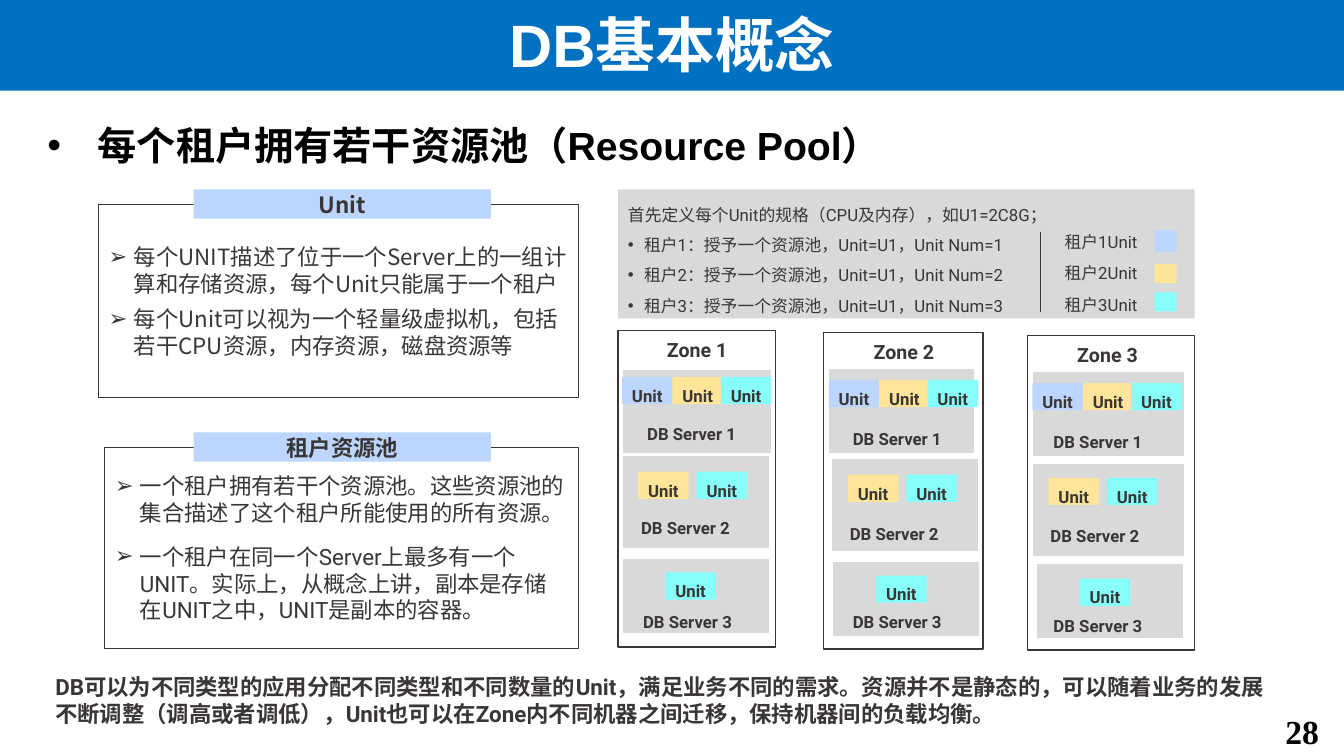
from lxml import etree
from pptx import Presentation
from pptx.dml.color import RGBColor
from pptx.enum.shapes import MSO_CONNECTOR, MSO_SHAPE
from pptx.enum.text import MSO_ANCHOR, MSO_AUTO_SIZE, PP_ALIGN
from pptx.oxml.ns import qn
from pptx.util import Inches, Pt

LEFT, CENTER, RIGHT = PP_ALIGN.LEFT, PP_ALIGN.CENTER, PP_ALIGN.RIGHT
TOP, MIDDLE = MSO_ANCHOR.TOP, MSO_ANCHOR.MIDDLE
GROW, FIXED = MSO_AUTO_SIZE.SHAPE_TO_FIT_TEXT, MSO_AUTO_SIZE.NONE
RECTANGLE, STRAIGHT = MSO_SHAPE.RECTANGLE, MSO_CONNECTOR.STRAIGHT

BLUE = RGBColor(0x00, 0x70, 0xC0)
WHITE = RGBColor(0xFF, 0xFF, 0xFF)
BLACK = RGBColor(0x00, 0x00, 0x00)
INK = RGBColor(0x3A, 0x36, 0x36)
GRAY = RGBColor(0xD9, 0xD9, 0xD9)
TENANT_COLORS = (RGBColor(0xBC, 0xD6, 0xFF), RGBColor(0xFF, 0xE5, 0x99),
                 RGBColor(0x87, 0xFF, 0xFA))

# ---- content ----
TITLE = "DB基本概念"
HEADLINE = "每个租户拥有若干资源池（Resource Pool）"
PAGE_NUMBER = "28"
SUMMARY = ("DB可以为不同类型的应用分配不同类型和不同数量的Unit，满足业务不同的需求。"
           "资源并不是静态的，可以随着业务的发展不断调整（调高或者调低），"
           "Unit也可以在Zone内不同机器之间迁移，保持机器间的负载均衡。")
SPEC_INTRO = "首先定义每个Unit的规格（CPU及内存），如U1=2C8G；"
TENANT_GRANTS = [f"租户{n}：授予一个资源池，Unit=U1，Unit Num={n}" for n in (1, 2, 3)]

# heading, frame, font, space between points, points
CONCEPTS = [
    ("Unit", (0.98, 2.03, 4.76, 1.91), "Noto Sans CJK SC", 6,
     ["每个UNIT描述了位于一个Server上的一组计算和存储资源，每个Unit只能属于一个租户",
      "每个Unit可以视为一个轻量级虚拟机，包括若干CPU资源，内存资源，磁盘资源等"]),
    ("租户资源池", (1.04, 4.44, 4.7, 1.99), "Roboto", 12,
     ["一个租户拥有若干个资源池。这些资源池的集合描述了这个租户所能使用的所有资源。",
      "一个租户在同一个Server上最多有一个UNIT。实际上，从概念上讲，"
      "副本是存储在UNIT之中，UNIT是副本的容器。"]),
]

# zone frame, heading left, then per server: box and label corner
ZONES = [
    ((6.13, 3.28, 1.56, 3.14), 6.31,
     [((6.17, 3.66, 1.48, 0.84), (6.32, 4.06)),
      ((6.17, 4.52, 1.46, 0.92), (6.26, 5.0)),
      ((6.17, 5.54, 1.46, 0.75), (6.28, 5.93))]),
    ((8.17, 3.3, 1.58, 3.14), 8.36,
     [((8.22, 3.65, 1.45, 0.85), (8.36, 4.11)),
      ((8.25, 4.55, 1.46, 0.92), (8.33, 5.06)),
      ((8.26, 5.57, 1.46, 0.75), (8.36, 5.93))]),
    ((10.19, 3.33, 1.66, 3.12), 10.38,
     [((10.24, 3.68, 1.51, 0.85), (10.35, 4.14)),
      ((10.24, 4.6, 1.51, 0.92), (10.32, 5.08)),
      ((10.28, 5.59, 1.46, 0.75), (10.35, 5.97))]),
]
# per server: unit top in the first zone, then (tenant, offset from server left)
SERVER_UNITS = [
    (3.74, [(0, 0), (1, 0.5), (2, 0.98)]),
    (4.68, [(1, 0.16), (2, 0.74)]),
    (5.68, [(2, 0.43)]),
]
ZONE_DRIFT = 0.03
UNIT_SIZE = (0.5, 0.27)
# label top, swatch top, swatch height
LEGEND = [(2.3, 2.28, 0.22), (2.61, 2.62, 0.19), (2.92, 2.9, 0.19)]

BODY_TEXT = {"size": Pt(16), "name": "Roboto", "bold": False}
SMALL = {"size": Pt(12), "name": "Roboto", "bold": False}
SMALL_BOLD = SMALL | {"bold": True}


def write(shape, lines, font, color=INK, align=LEFT, anchor=MIDDLE, fit=GROW,
          inset=None, spacing=None, gap=0, bullet=None, indent=0, plain_lines=0):
    """Fill a shape with paragraphs; the first plain_lines carry no bullet."""
    frame = shape.text_frame
    settings = {"word_wrap": True, "auto_size": fit, "vertical_anchor": anchor}
    if inset is not None:
        settings |= {f"margin_{side}": Inches(inset)
                     for side in ("left", "right", "top", "bottom")}
    for name, value in settings.items():
        setattr(frame, name, value)
    for index, line in enumerate(lines):
        paragraph = frame.add_paragraph() if index else frame.paragraphs[0]
        if bullet and index >= plain_lines:
            properties = paragraph._p.get_or_add_pPr()
            properties.set("marL", str(Inches(indent)))
            properties.set("indent", str(-Inches(indent)))
            etree.SubElement(properties, qn("a:buFont")).set("typeface", "Arial")
            etree.SubElement(properties, qn("a:buChar")).set("char", bullet)
        paragraph.alignment = align
        paragraph.space_before = Pt(gap if index else 0)
        if spacing:
            paragraph.line_spacing = spacing
        run = paragraph.add_run()
        run.text = line
        for name, value in font.items():
            setattr(run.font, name, value)
        run.font.color.rgb = color


def place(shape, box):
    for name, value in zip(("left", "top", "width", "height"), box):
        setattr(shape, name, Inches(value))


def add_box(slide, box, fill=None, line=None, weight=1):
    shape = slide.shapes.add_shape(RECTANGLE, *map(Inches, box))
    shape.shadow.inherit = False
    if fill is None:
        shape.fill.background()
    else:
        shape.fill.solid()
        shape.fill.fore_color.rgb = fill
    if line is None:
        shape.line.fill.background()
    else:
        shape.line.color.rgb = line
        shape.line.width = Pt(weight)
    return shape


def add_label(slide, box, text, font, **options):
    write(slide.shapes.add_textbox(*map(Inches, box)), [text], font, **options)


def add_headings(slide):
    title, body = slide.shapes.title, slide.placeholders[1]
    place(title, (0, -0.03, 13.33, 0.93))
    title.fill.solid()
    title.fill.fore_color.rgb = BLUE
    write(title, [TITLE], {"size": Pt(42.7), "name": "Arial", "bold": True},
          color=WHITE, align=CENTER, fit=FIXED)
    place(body, (0.37, 1.15, 12.49, 5.55))
    write(body, [HEADLINE], {"size": Pt(28), "name": "Arial", "bold": True},
          color=BLACK, anchor=TOP, fit=FIXED, bullet="•", indent=0.5)


def add_concepts(slide):
    for heading, frame, font_name, gap, points in CONCEPTS:
        write(add_box(slide, frame, line=INK, weight=0.75), points,
              BODY_TEXT | {"name": font_name}, fit=FIXED, gap=gap,
              bullet="➢", indent=0.25)
        banner = add_box(slide, (1.92, frame[1] - 0.15, 2.95, 0.29), TENANT_COLORS[0])
        write(banner, [heading],
              BODY_TEXT | {"name": "Noto Sans CJK SC", "bold": True},
              align=CENTER, fit=FIXED, inset=0)


def add_unit_spec(slide):
    write(add_box(slide, (6.13, 1.88, 5.72, 1.28), GRAY), [SPEC_INTRO, *TENANT_GRANTS],
          SMALL, anchor=TOP, spacing=1.5, bullet="•", indent=0.16, plain_lines=1)
    divider = slide.shapes.add_connector(
        STRAIGHT, *map(Inches, (10.32, 2.3, 10.32, 3.1)))
    divider.line.color.rgb = INK
    divider.line.width = Pt(0.5)
    etree.SubElement(divider._element.spPr, qn("a:effectLst"))
    for tenant, (label_top, swatch_top, height) in enumerate(LEGEND):
        add_label(slide, (10.37, label_top, 1.1, 0.2), f"租户{tenant + 1}Unit", SMALL,
                  align=CENTER, inset=0)
        add_box(slide, (11.45, swatch_top, 0.22, height), TENANT_COLORS[tenant])


def add_zones(slide):
    for zone, (frame, heading_left, servers) in enumerate(ZONES):
        add_box(slide, frame, line=INK)
        add_label(slide, (heading_left, frame[1] - 0.08, 1.21, 0.42), f"Zone {zone + 1}",
                  SMALL_BOLD | {"size": Pt(14)}, align=CENTER, spacing=1.5)
        for number, ((box, corner), (unit_top, units)) in enumerate(
                zip(servers, SERVER_UNITS), 1):
            add_box(slide, box, GRAY, WHITE)
            for tenant, offset in units:
                position = (box[0] + offset, unit_top + zone * ZONE_DRIFT)
                write(add_box(slide, position + UNIT_SIZE, TENANT_COLORS[tenant]),
                      ["Unit"], SMALL_BOLD, align=CENTER, inset=0, spacing=1.5)
            add_label(slide, corner + (1.23, 0.38), f"DB Server {number}",
                      SMALL_BOLD, spacing=1.5)


def main():
    deck = Presentation()
    deck.slide_width, deck.slide_height = Inches(13.33), Inches(7.5)
    slide = deck.slides.add_slide(deck.slide_layouts[1])
    add_headings(slide)
    add_unit_spec(slide)
    add_zones(slide)
    add_concepts(slide)
    add_label(slide, (0.45, 6.63, 12.34, 0.64), SUMMARY, BODY_TEXT | {"bold": True},
              anchor=TOP)
    add_label(slide, (12.34, 7, 0.84, 0.5), PAGE_NUMBER,
              {"size": Pt(24), "name": "Times New Roman", "bold": True},
              color=BLACK, align=RIGHT, anchor=TOP)
    deck.save("out.pptx")


if __name__ == "__main__":
    main()
